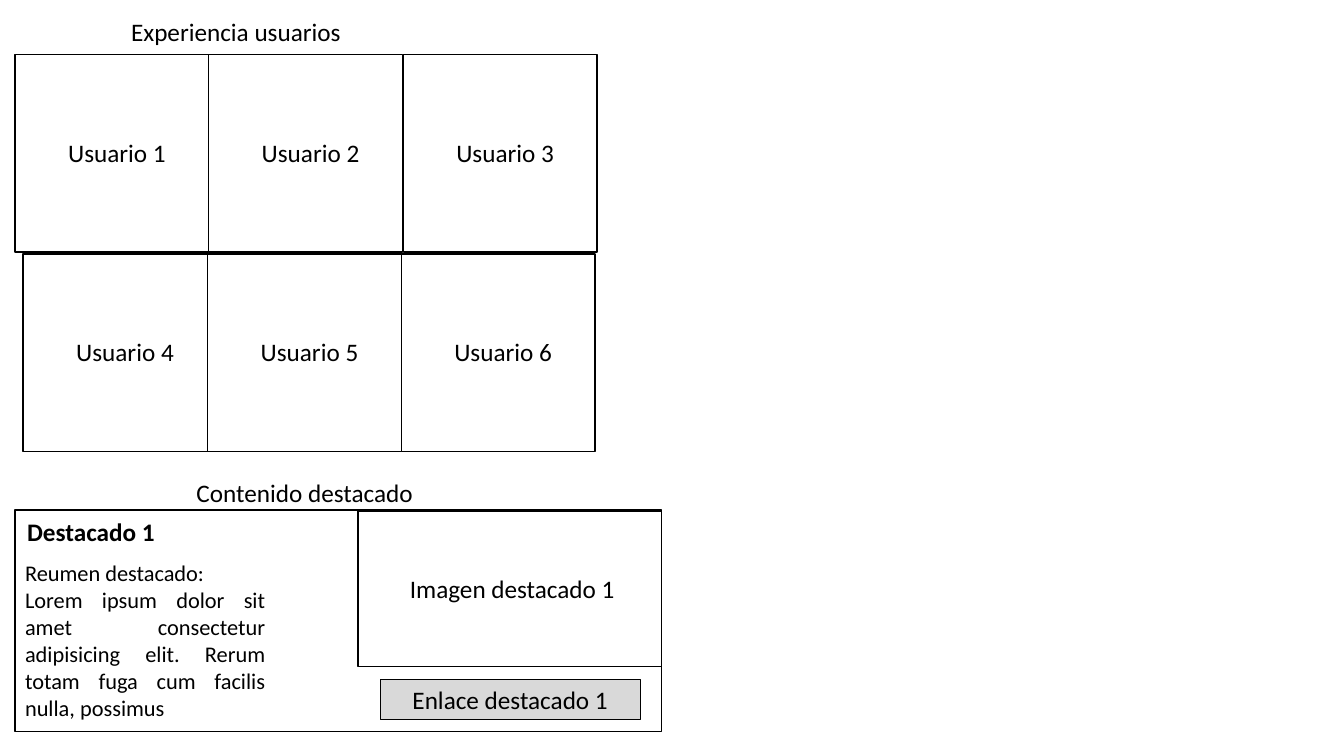
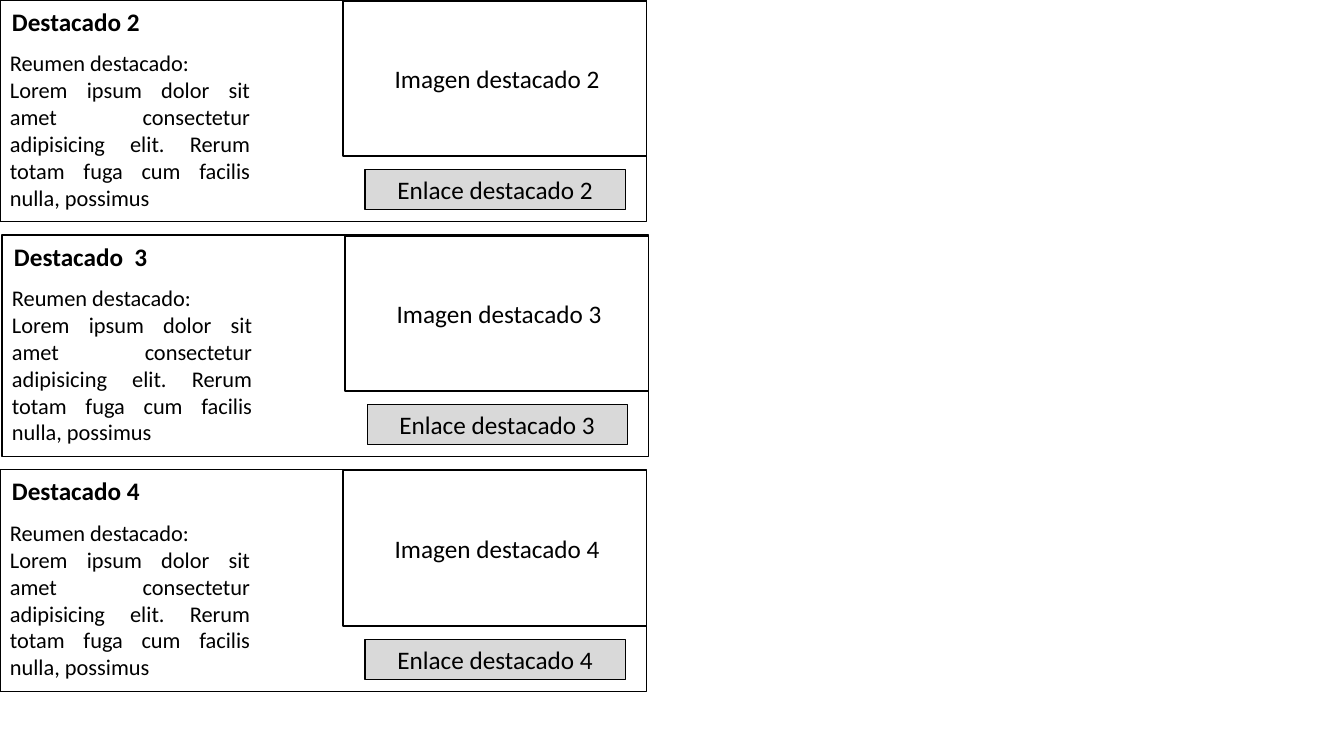
"""Build two wireframe slides with user cards and featured content cards."""
from dataclasses import dataclass

from pptx import Presentation
from pptx.dml.color import RGBColor
from pptx.enum.shapes import MSO_SHAPE
from pptx.enum.text import MSO_ANCHOR, MSO_AUTO_SIZE, PP_ALIGN
from pptx.util import Inches, Pt

RECTANGLE = MSO_SHAPE.RECTANGLE
MIDDLE = MSO_ANCHOR.MIDDLE
GROW = MSO_AUTO_SIZE.SHAPE_TO_FIT_TEXT
LEFT, CENTER, JUSTIFY = PP_ALIGN.LEFT, PP_ALIGN.CENTER, PP_ALIGN.JUSTIFY
BLANK_LAYOUT = 6


@dataclass(frozen=True)
class Theme:
    """Colours, type sizes and line widths shared by the slides."""

    font: str = "Calibri"
    ink: RGBColor = RGBColor(0x00, 0x00, 0x00)
    paper: RGBColor = RGBColor(0xFF, 0xFF, 0xFF)
    button: RGBColor = RGBColor(0xD9, 0xD9, 0xD9)
    label_size: float = 18
    body_size: float = 16
    frame_width: float = 1
    button_width: float = 0.75


THEME = Theme()
LABEL_HEIGHT = 0.4
USER_WIDTH, USER_HEIGHT = 1.92, 1.96
USER_ROWS = [(0.54, [0.15, 2.07, 4.0]), (2.52, [0.23, 2.06, 3.98])]
SUMMARY = [
    ("Reumen destacado:", LEFT),
    (
        "Lorem ipsum dolor sit amet consectetur adipisicing elit. "
        "Rerum totam fuga cum facilis nulla, possimus",
        JUSTIFY,
    ),
]
FEATURES = [
    (0, 4.66, "Destacado 4", 4),
    (0, 0, "Destacado 2", 2),
    (0.02, 2.33, "Destacado  3", 3),
]


def write_paragraphs(frame, paragraphs, size=THEME.label_size, bold=False):
    """Fill a text frame with (text, alignment) paragraphs."""
    frame.word_wrap = True
    for index, (text, alignment) in enumerate(paragraphs):
        paragraph = frame.add_paragraph() if index else frame.paragraphs[0]
        paragraph.alignment = alignment
        run = paragraph.add_run()
        run.text = text
        run.font.name = THEME.font
        run.font.size = Pt(size)
        run.font.bold = bold
        run.font.color.rgb = THEME.ink


def add_box(slide, left, top, width, height, fill=THEME.paper, line_width=THEME.frame_width):
    """Add an outlined rectangle."""
    shape = slide.shapes.add_shape(
        RECTANGLE, Inches(left), Inches(top), Inches(width), Inches(height)
    )
    shape.shadow.inherit = False
    shape.fill.solid()
    shape.fill.fore_color.rgb = fill
    shape.line.color.rgb = THEME.ink
    shape.line.width = Pt(line_width)
    return shape


def add_text(slide, left, top, width, height, paragraphs, **style):
    """Add a text box that grows with its text."""
    text_box = slide.shapes.add_textbox(
        Inches(left), Inches(top), Inches(width), Inches(height)
    )
    write_paragraphs(text_box.text_frame, paragraphs, **style)
    text_box.text_frame.auto_size = GROW


def add_label(slide, left, top, width, text, alignment=CENTER, bold=False):
    """Add a one-line label."""
    add_text(slide, left, top, width, LABEL_HEIGHT, [(text, alignment)], bold=bold)


def add_button(slide, left, top, width, text):
    """Add a grey link button."""
    button = add_box(slide, left, top, width, LABEL_HEIGHT, THEME.button, THEME.button_width)
    write_paragraphs(button.text_frame, [(text, CENTER)])
    button.text_frame.vertical_anchor = MIDDLE


def add_user_card(slide, left, top, number):
    """Add a user frame with its name."""
    add_box(slide, left, top, USER_WIDTH, USER_HEIGHT)
    add_label(slide, left + 0.4, top + 0.77, 1.22, f"Usuario {number}")


def add_feature_card(slide, left, top, title, number):
    """Add a featured item with title, summary, image frame and link."""
    add_box(slide, left, top, 6.41, 2.2)
    add_label(slide, left + 0.02, top + 0.01, 1.72, title, LEFT, bold=True)
    add_text(slide, left, top + 0.44, 2.58, 1.72, SUMMARY, size=THEME.body_size)
    add_box(slide, left + 3.4, top + 0.01, 3.01, 1.54)
    add_label(slide, left + 3.64, top + 0.58, 2.58, f"Imagen destacado {number}")
    add_button(slide, left + 3.62, top + 1.68, 2.58, f"Enlace destacado {number}")


def build_users_slide(slide):
    """Lay out the user grid and the first featured item."""
    add_label(slide, 0.15, 0.11, 4.38, "Experiencia usuarios")
    number = 1
    for top, lefts in USER_ROWS:
        for left in lefts:
            add_user_card(slide, left, top, number)
            number += 1
    add_label(slide, 1.85, 4.69, 4.38, "Contenido destacado", LEFT)
    add_feature_card(slide, 0.15, 5.06, "Destacado 1", 1)


def build_features_slide(slide):
    """Lay out the remaining featured items."""
    for feature in FEATURES:
        add_feature_card(slide, *feature)


def main():
    """Build and save the presentation."""
    presentation = Presentation()
    presentation.slide_width = Inches(13.33)
    presentation.slide_height = Inches(7.5)
    for build in (build_users_slide, build_features_slide):
        build(presentation.slides.add_slide(presentation.slide_layouts[BLANK_LAYOUT]))
    presentation.save("out.pptx")


if __name__ == "__main__":
    main()
